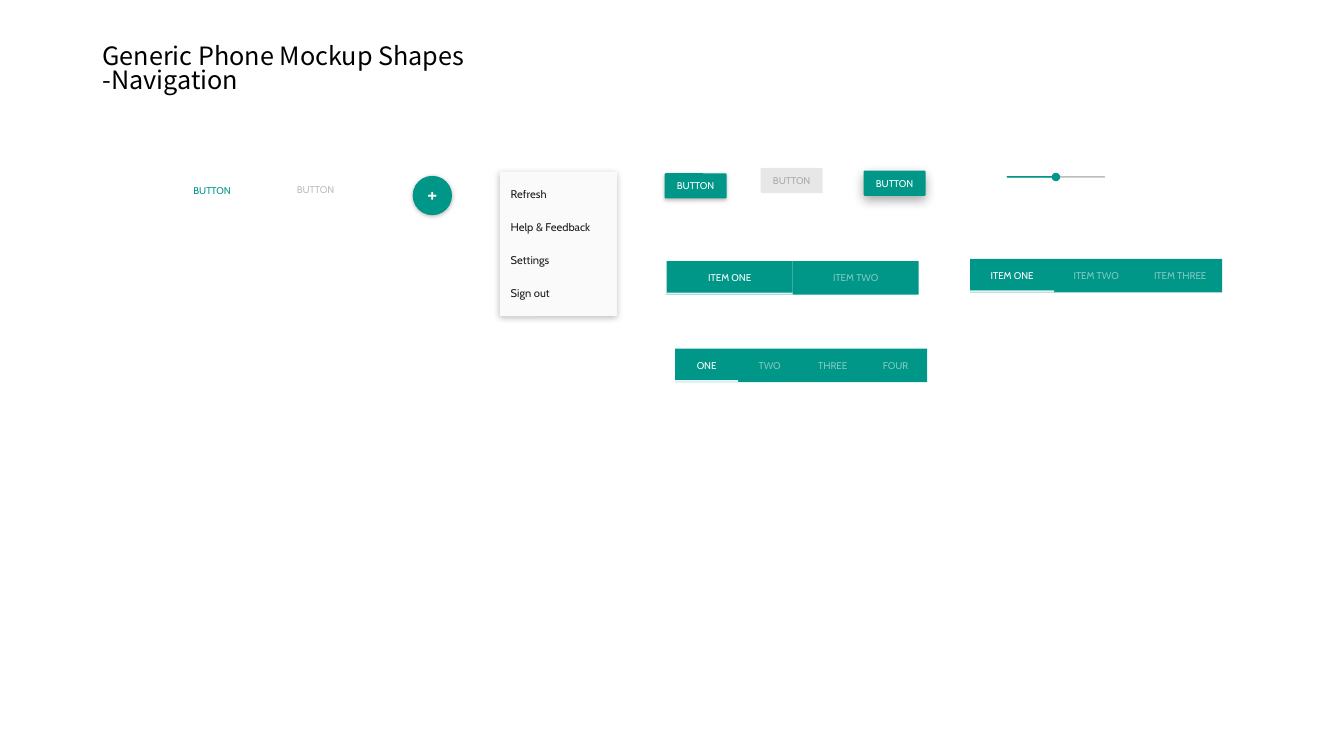
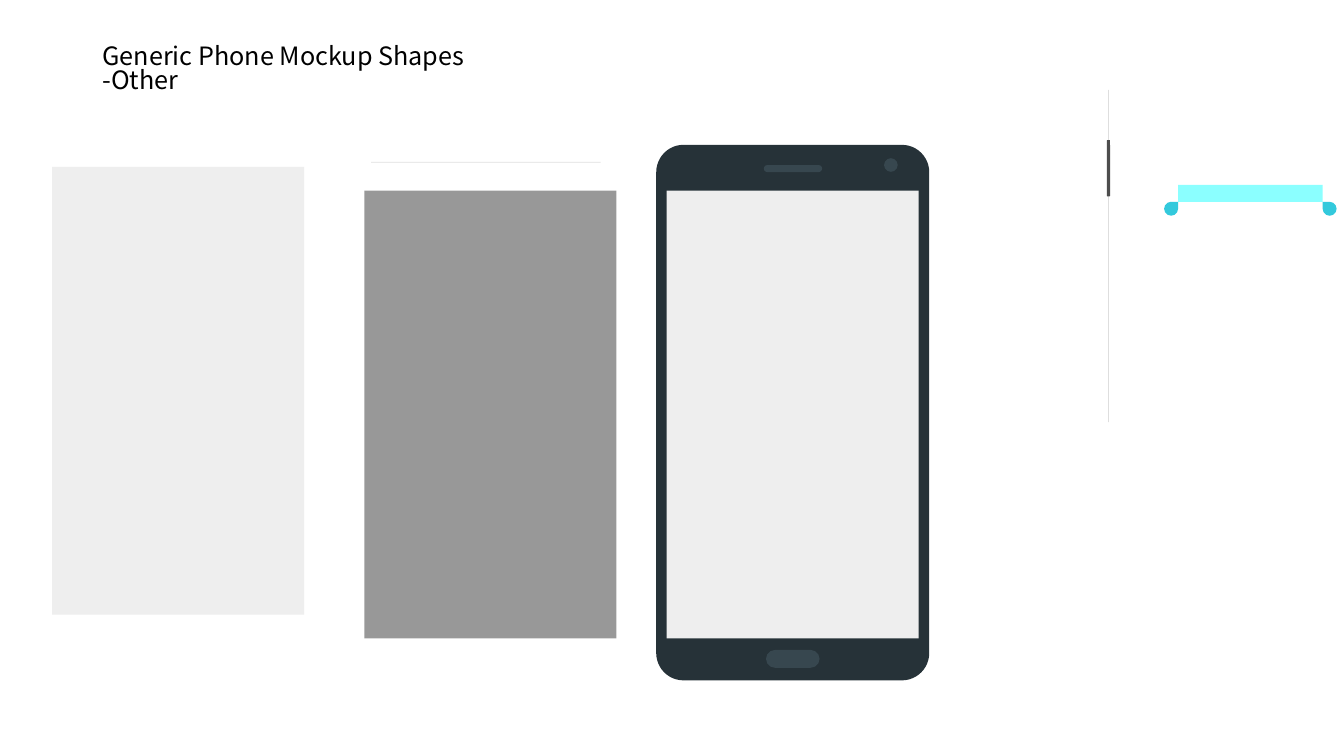
from dataclasses import dataclass
from typing import Any, NamedTuple, Optional

from lxml.etree import SubElement
from pptx import Presentation
from pptx.dml.color import RGBColor
from pptx.enum.shapes import MSO_CONNECTOR, MSO_SHAPE
from pptx.enum.text import MSO_ANCHOR, PP_ALIGN
from pptx.oxml.ns import qn
from pptx.util import Emu, Inches, Pt

SLIDE_WIDTH, SLIDE_HEIGHT = Inches(13.33), Inches(7.5)
COLUMNS, ROWS = 128, 72


class Paint(NamedTuple):
    colour: str
    opacity: int = 100


class Box(NamedTuple):
    """A place in grid columns and rows."""
    left: float
    top: float
    width: float
    height: float


class Shadow(NamedTuple):
    opacity: int
    blur: float
    distance: float


class Insets(NamedTuple):
    left: float = 1
    top: float = 0.5
    right: float = 1
    bottom: float = 0.5


@dataclass(frozen=True)
class Theme:
    title_font: str = "Noto Sans CJK KR"
    body_font: str = "Cabin"
    title_size: float = 18
    label_size: float = 7
    menu_size: float = 8
    icon_size: float = 16
    black: Paint = Paint("000000")
    white: Paint = Paint("FFFFFF")
    accent: Paint = Paint("009688")
    indicator: Paint = Paint("E0F2F1")
    disabled_ink: Paint = Paint("000000", 26)
    disabled_fill: Paint = Paint("4C4C4C", 13)
    inactive_ink: Paint = Paint("FFFFFF", 50)
    menu_fill: Paint = Paint("FAFAFA")
    menu_ink: Paint = Paint("000000", 87)
    divider: Paint = Paint("000000", 12)
    screen: Paint = Paint("EEEEEE")
    overlay: Paint = Paint("333333", 50)
    phone: Paint = Paint("263238")
    phone_detail: Paint = Paint("37474F")
    scroll_thumb: Paint = Paint("4D4D4D")
    selection: Paint = Paint("18FFFF", 50)
    handle: Paint = Paint("00BCD4", 80)
    low_shadow: Shadow = Shadow(25, 3, 1)
    menu_shadow: Shadow = Shadow(25, 5, 1)
    high_shadow: Shadow = Shadow(35, 8, 3)


THEME = Theme()


@dataclass(frozen=True)
class Button:
    left: float
    top: float
    ink: Paint
    fill: Optional[Paint] = None
    shadow: Optional[Shadow] = None


@dataclass(frozen=True)
class TabBar:
    left: float
    top: float
    tab_width: float
    labels: tuple[str, ...]


BUTTONS = (
    Button(17.25, 16.95, THEME.accent),
    Button(27.1, 16.85, THEME.disabled_ink),
    Button(63.3, 16.5, THEME.white, THEME.accent, THEME.low_shadow),
    Button(72.45, 16, THEME.disabled_ink, THEME.disabled_fill),
    Button(82.25, 16.25, THEME.white, THEME.accent, THEME.high_shadow),
)
TAB_BARS = (
    TabBar(63.5, 24.87, 12, ("ITEM ONE", "ITEM TWO")),
    TabBar(92.4, 24.65, 8, ("ITEM ONE", "ITEM TWO", "ITEM THREE")),
    TabBar(64.3, 33.2, 6, ("ONE", "TWO", "THREE", "FOUR")),
)


def across(columns: float) -> Emu:
    return Emu(round(SLIDE_WIDTH * columns / COLUMNS))


def down(rows: float) -> Emu:
    return Emu(round(SLIDE_HEIGHT * rows / ROWS))


def place(box: Box) -> tuple[Emu, Emu, Emu, Emu]:
    return across(box.left), down(box.top), across(box.width), down(box.height)


def set_values(target: Any, values: dict[str, Any]) -> None:
    for name, value in values.items():
        setattr(target, name, value)


def set_opacity(element: Any, opacity: int) -> None:
    """Make every colour inside the element translucent."""
    if opacity < 100:
        for colour in element.iter(qn("a:srgbClr")):
            SubElement(colour, qn("a:alpha"), val=str(opacity * 1000))


def add_shadow(shape: Any, shadow: Shadow) -> None:
    effects = shape.element.spPr.find(qn("a:effectLst"))
    outer = SubElement(effects, qn("a:outerShdw"), {
        "blurRad": str(Pt(shadow.blur)), "dist": str(Pt(shadow.distance)),
        "dir": "5400000", "algn": "t", "rotWithShape": "0"})
    colour = SubElement(outer, qn("a:srgbClr"), val=THEME.black.colour)
    SubElement(colour, qn("a:alpha"), val=str(shadow.opacity * 1000))


def add_block(shapes: Any, box: Box, fill: Optional[Paint], kind: MSO_SHAPE = MSO_SHAPE.RECTANGLE,
              corner: Optional[float] = None, shadow: Optional[Shadow] = None) -> Any:
    shape = shapes.add_shape(kind, *place(box))
    shape.shadow.inherit = False
    shape.line.fill.background()
    if corner is not None:
        shape.adjustments[0] = corner
    if fill:
        shape.fill.solid()
        shape.fill.fore_color.rgb = RGBColor.from_string(fill.colour)
        set_opacity(shape.element.spPr, fill.opacity)
    else:
        shape.fill.background()
    if shadow:
        add_shadow(shape, shadow)
    return shape


def write(shape: Any, lines: tuple[str, ...], ink: Paint, size: float,
          insets: Insets = Insets(), font: str = THEME.body_font,
          anchor: MSO_ANCHOR = MSO_ANCHOR.MIDDLE, gap: float = 0, **paragraph_format: Any) -> None:
    frame = shape.text_frame
    set_values(frame, {
        "word_wrap": True, "vertical_anchor": anchor,
        "margin_left": across(insets.left), "margin_top": down(insets.top),
        "margin_right": across(insets.right), "margin_bottom": down(insets.bottom)})
    for index, line in enumerate(lines):
        paragraph = frame.add_paragraph() if index else frame.paragraphs[0]
        set_values(paragraph, paragraph_format)
        if index and gap:
            paragraph.space_before = Pt(gap)
        run = paragraph.add_run()
        run.text = line
        set_values(run.font, {"name": font, "size": Pt(size)})
        run.font.color.rgb = RGBColor.from_string(ink.colour)
    set_opacity(shape.element.txBody, ink.opacity)


def add_label(shape: Any, text: str, ink: Paint, size: float = THEME.label_size,
              insets: Insets = Insets()) -> None:
    write(shape, (text,), ink, size, insets, alignment=PP_ALIGN.CENTER)


def add_divider(shapes: Any, left: float, top: float, right: float, bottom: float) -> None:
    connector = shapes.add_connector(MSO_CONNECTOR.STRAIGHT, across(left), down(top),
                                     across(right), down(bottom))
    connector.line.width = Pt(0.5)
    connector.line.color.rgb = RGBColor.from_string(THEME.divider.colour)
    set_opacity(connector.element.spPr, THEME.divider.opacity)
    SubElement(connector.element.spPr, qn("a:effectLst"))


def add_titled_slide(presentation: Any, topic: str) -> Any:
    slide = presentation.slides.add_slide(presentation.slide_layouts[6])
    title = slide.shapes.add_textbox(*place(Box(8.75, 3.87, 48.5, 6.05)))
    write(title, ("Generic Phone Mockup Shapes", f"-{topic}"), THEME.black, THEME.title_size,
          font=THEME.title_font, anchor=MSO_ANCHOR.TOP, line_spacing=0.8)
    return slide


def add_button(shapes: Any, button: Button) -> None:
    shape = add_block(shapes, Box(button.left, button.top, 5.9, 2.4), button.fill,
                      MSO_SHAPE.ROUNDED_RECTANGLE, 0.05, button.shadow)
    add_label(shape, "BUTTON", button.ink, insets=Insets(0.75, 0.5, 0.75, 0.5))


def add_floating_button(shapes: Any) -> None:
    shape = add_block(shapes, Box(39.3, 16.75, 3.75, 3.75), THEME.accent, MSO_SHAPE.OVAL,
                      shadow=THEME.low_shadow)
    add_label(shape, "+", THEME.white, THEME.icon_size, Insets(0.5, 0.5, 0.5, 0.85))


def add_menu(shapes: Any) -> None:
    shape = add_block(shapes, Box(47.6, 16.35, 11.15, 13.75), THEME.menu_fill,
                      MSO_SHAPE.ROUNDED_RECTANGLE, 0.01, THEME.menu_shadow)
    write(shape, ("Refresh", "Help & Feedback", "Settings", "Sign out"), THEME.menu_ink,
          THEME.menu_size, Insets(1, 1.45, 1.9, 1.45), gap=14, alignment=PP_ALIGN.LEFT)


def add_slider(shapes: Any) -> None:
    left, middle, length, thickness, knob = 95.9, 16.86, 9.34, 0.15, 0.8
    group = shapes.add_group_shape().shapes
    for share, paint in ((1, THEME.disabled_ink), (0.5, THEME.accent)):
        add_block(group, Box(left, middle - thickness / 2, length * share, thickness), paint)
    add_block(group, Box(left + (length - knob) / 2, middle - knob / 2, knob, knob),
              THEME.accent, MSO_SHAPE.OVAL)


def add_tab_bar(shapes: Any, bar: TabBar) -> None:
    height, indicator_height = 3.2, 0.2
    group = shapes.add_group_shape().shapes
    for index, label in enumerate(bar.labels):
        left = bar.left + index * bar.tab_width
        tab = add_block(group, Box(left, bar.top, bar.tab_width, height), THEME.accent)
        add_label(tab, label, THEME.inactive_ink if index else THEME.white)
    add_block(group, Box(bar.left, bar.top + height - indicator_height, bar.tab_width,
                         indicator_height), THEME.indicator)


def add_screen(shapes: Any, left: float, top: float, fill: Paint) -> None:
    add_block(shapes, Box(left, top, 24, 42.65), fill)


def add_phone(shapes: Any) -> None:
    group = shapes.add_group_shape().shapes
    rounded = MSO_SHAPE.ROUNDED_RECTANGLE
    add_block(group, Box(62.5, 13.8, 26, 51), THEME.phone, rounded, 0.1)
    home, speaker = Box(72.95, 61.9, 5.1, 1.7), Box(72.75, 15.72, 5.55, 0.67)
    for detail in (home, speaker):
        add_block(group, detail, THEME.phone_detail, rounded, 0.5)
    add_block(group, Box(84.2, 15.07, 1.3, 1.3), THEME.phone_detail, MSO_SHAPE.OVAL)
    add_screen(group, 63.5, 18.15, THEME.screen)


def add_scroll_bar(shapes: Any) -> None:
    middle, thickness = 105.57, 0.3
    group = shapes.add_group_shape().shapes
    add_divider(group, middle, 8.55, middle, 40.2)
    add_block(group, Box(middle - thickness / 2, 13.35, thickness, 5.35), THEME.scroll_thumb,
              MSO_SHAPE.ROUNDED_RECTANGLE)


def add_text_selection(shapes: Any) -> None:
    band, size = Box(112.2, 17.6, 13.77, 1.62), 1.33
    group = shapes.add_group_shape().shapes
    add_block(group, band, THEME.selection)
    for left, rotation in ((band.left + band.width, 270), (band.left - size, 0)):
        handle = add_block(group, Box(left, band.top + band.height, size, size), THEME.handle,
                           MSO_SHAPE.TEAR)
        handle.rotation = rotation


def build_navigation(presentation: Any) -> None:
    shapes = add_titled_slide(presentation, "Navigation").shapes
    for button in BUTTONS:
        add_button(shapes, button)
    add_floating_button(shapes)
    add_menu(shapes)
    add_slider(shapes)
    for bar in TAB_BARS:
        add_tab_bar(shapes, bar)


def build_other(presentation: Any) -> None:
    shapes = add_titled_slide(presentation, "Other").shapes
    add_screen(shapes, 4.97, 15.9, THEME.screen)
    add_divider(shapes, 35.35, 15.46, 57.2, 15.46)
    add_screen(shapes, 34.7, 18.17, THEME.overlay)
    add_phone(shapes)
    add_scroll_bar(shapes)
    add_text_selection(shapes)


def main() -> None:
    presentation = Presentation()
    set_values(presentation, {"slide_width": SLIDE_WIDTH, "slide_height": SLIDE_HEIGHT})
    build_navigation(presentation)
    build_other(presentation)
    presentation.save("out.pptx")


if __name__ == "__main__":
    main()
